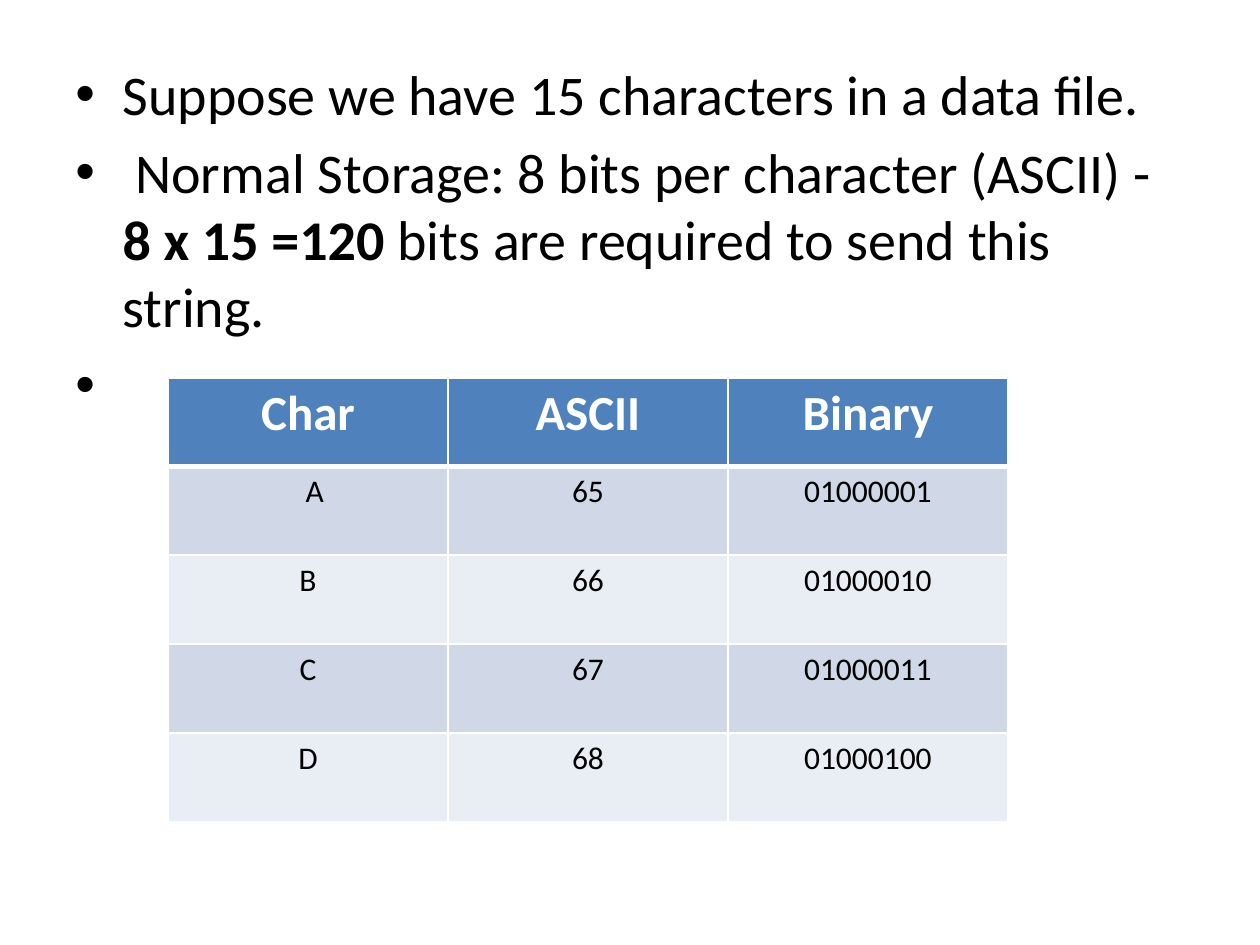
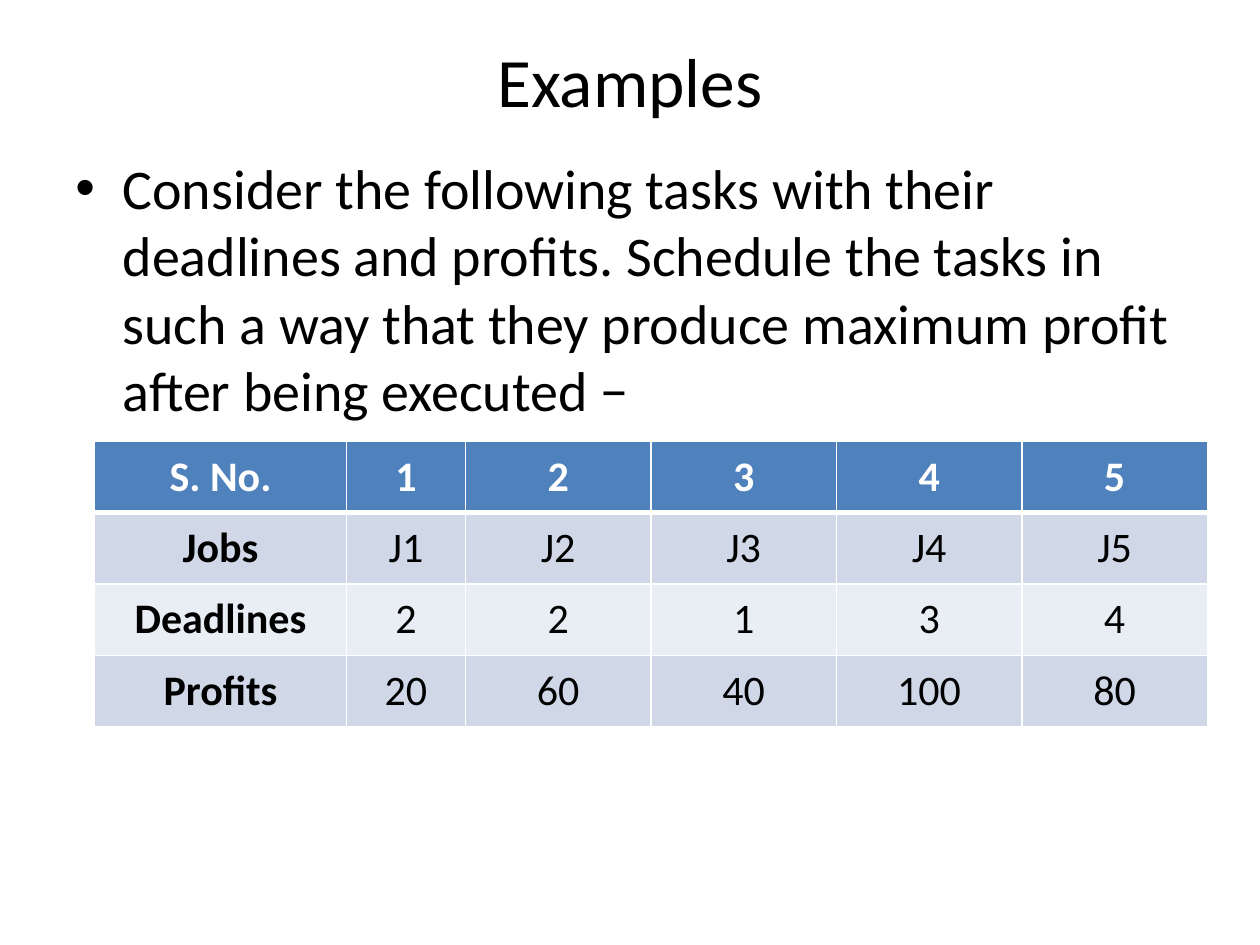
from dataclasses import dataclass

from lxml import etree
from pptx import Presentation
from pptx.dml.color import RGBColor
from pptx.enum.text import MSO_ANCHOR, PP_ALIGN
from pptx.oxml.ns import qn
from pptx.util import Pt

CENTER = PP_ALIGN.CENTER
TOP, MIDDLE = MSO_ANCHOR.TOP, MSO_ANCHOR.MIDDLE


@dataclass(frozen=True)
class Theme:
    font: str = "Calibri"
    bullet_font: str = "Arial"
    text: str = "000000"
    light: str = "FFFFFF"
    header: str = "4F81BD"
    bands: tuple = ("D0D8E8", "E9EDF4")
    title_size: float = 39.6
    body_size: float = 32
    head_size: float = 28
    cell_size: float = 18
    job_size: float = 24
    bullet_indent: float = 27
    line: float = 1
    header_line: float = 3


THEME = Theme()


def add_run(p, text, size, color=THEME.text, bold=False):
    r = p.add_run()
    r.text = text
    r.font.name = THEME.font
    r.font.size = Pt(size)
    r.font.bold = bold
    r.font.color.rgb = RGBColor.from_string(color)


def add_text_frame(s, box):
    tf = s.shapes.add_textbox(*map(Pt, box)).text_frame
    tf.word_wrap = True
    return tf


def add_title(s, box, text):
    tf = add_text_frame(s, box)
    tf.margin_top = 0
    p = tf.paragraphs[0]
    p.alignment = CENTER
    add_run(p, text, THEME.title_size)


def set_bullet(p):
    pPr = p._p.get_or_add_pPr()
    pPr.set("marL", str(Pt(THEME.bullet_indent)))
    pPr.set("indent", str(-Pt(THEME.bullet_indent)))
    etree.SubElement(pPr, qn("a:buFont"), typeface=THEME.bullet_font)
    etree.SubElement(pPr, qn("a:buChar"), char="•")


def add_bullets(s, box, items):
    """Each item is a list of (text, bold) runs."""
    tf = add_text_frame(s, box)
    for i, runs in enumerate(items):
        p = tf.paragraphs[0] if i == 0 else tf.add_paragraph()
        set_bullet(p)
        if i:
            p.space_before = Pt(0.2 * THEME.body_size)
        for text, bold in runs:
            add_run(p, text, THEME.body_size, bold=bold)


def set_borders(cell, top, bottom):
    tcPr = cell._tc.get_or_add_tcPr()
    widths = {"lnL": THEME.line, "lnR": THEME.line, "lnT": top, "lnB": bottom}
    for i, (side, width) in enumerate(widths.items()):
        ln = etree.Element(qn("a:" + side), w=str(Pt(width)))
        fill = etree.SubElement(ln, qn("a:solidFill"))
        etree.SubElement(fill, qn("a:srgbClr"), val=THEME.light)
        tcPr.insert(i, ln)


def add_banded_table(s, left, top, widths, heights, rows, head_size, cell_size,
                     anchor=TOP, inset=None, bold_first=False):
    table = s.shapes.add_table(len(rows), len(widths), Pt(left), Pt(top),
                               Pt(sum(widths)), Pt(sum(heights))).table
    for column, width in zip(table.columns, widths):
        column.width = Pt(width)
    for i, (values, height) in enumerate(zip(rows, heights)):
        table.rows[i].height = Pt(height)
        is_head = i == 0
        fill = THEME.header if is_head else THEME.bands[(i - 1) % 2]
        for j, value in enumerate(values):
            cell = table.cell(i, j)
            cell.fill.solid()
            cell.fill.fore_color.rgb = RGBColor.from_string(fill)
            set_borders(cell, THEME.header_line if i == 1 else THEME.line,
                        THEME.header_line if is_head else THEME.line)
            cell.vertical_anchor = anchor
            if inset is not None:
                cell.margin_left = cell.margin_right = Pt(inset)
                cell.margin_top = cell.margin_bottom = Pt(inset)
            p = cell.text_frame.paragraphs[0]
            p.alignment = CENTER
            add_run(p, value, head_size if is_head else cell_size,
                    THEME.light if is_head else THEME.text,
                    is_head or (bold_first and j == 0))
    return table


def build_storage_slide(s):
    # Storage cost in bits
    add_bullets(s, (36, 30.24, 648, 452), [
        [("Suppose we have 15 characters in a data file.", False)],
        [(" Normal Storage: 8 bits per character (ASCII) - ", False),
         ("8 x 15 =120 ", True),
         ("bits are required to send this string.", False)],
        [(" ", False)],
    ])
    # Character codes
    codes = [(c, str(ord(c)), f"{ord(c):08b}") for c in "ABCD"]
    table = add_banded_table(s, 96, 216, [160] * 3, [50.4] + [50.8] * 4,
                             [("Char", "ASCII", "Binary")] + codes,
                             THEME.head_size, THEME.cell_size)
    table.cell(1, 0).margin_left = Pt(15)


def build_examples_slide(s):
    add_title(s, (36, 21.6, 648, 90), "Examples")
    # Task statement
    add_bullets(s, (36, 84.24, 648, 398), [
        [("Consider the following tasks with their deadlines and profits. "
          "Schedule the tasks in such a way that they produce maximum profit "
          "after being executed −", False)],
    ])
    # Jobs with deadlines and profits
    add_banded_table(s, 54, 252, [144, 68] + [106] * 4, [40.85] * 4, [
        ("S. No.", "1", "2", "3", "4", "5"),
        ("Jobs", "J1", "J2", "J3", "J4", "J5"),
        ("Deadlines", "2", "2", "1", "3", "4"),
        ("Profits", "20", "60", "40", "100", "80"),
    ], THEME.job_size, THEME.job_size, MIDDLE, inset=5.75, bold_first=True)


def main():
    prs = Presentation()
    prs.slide_width, prs.slide_height = Pt(720), Pt(540)
    for build in (build_storage_slide, build_examples_slide):
        build(prs.slides.add_slide(prs.slide_layouts[6]))
    prs.save("out.pptx")


if __name__ == "__main__":
    main()
